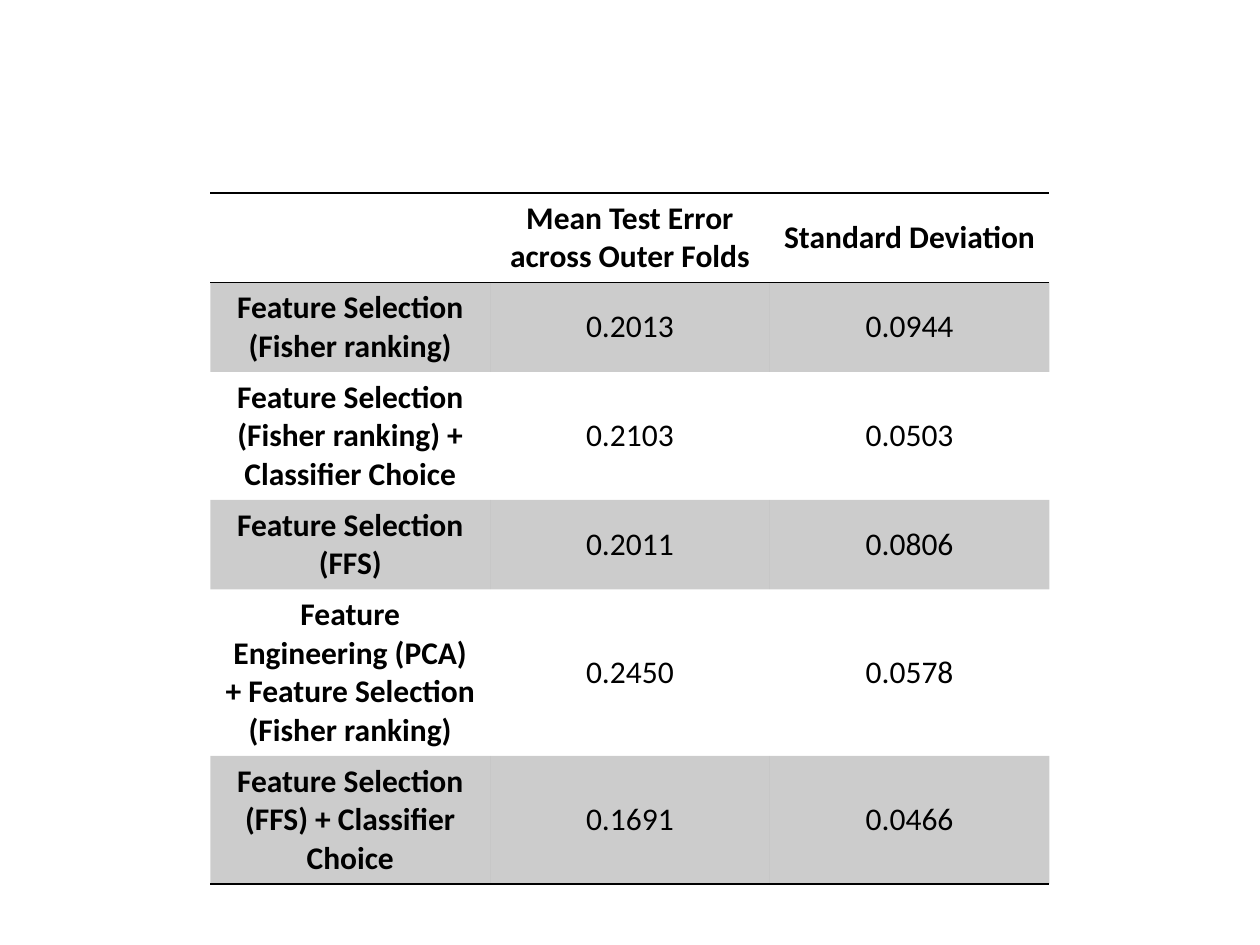
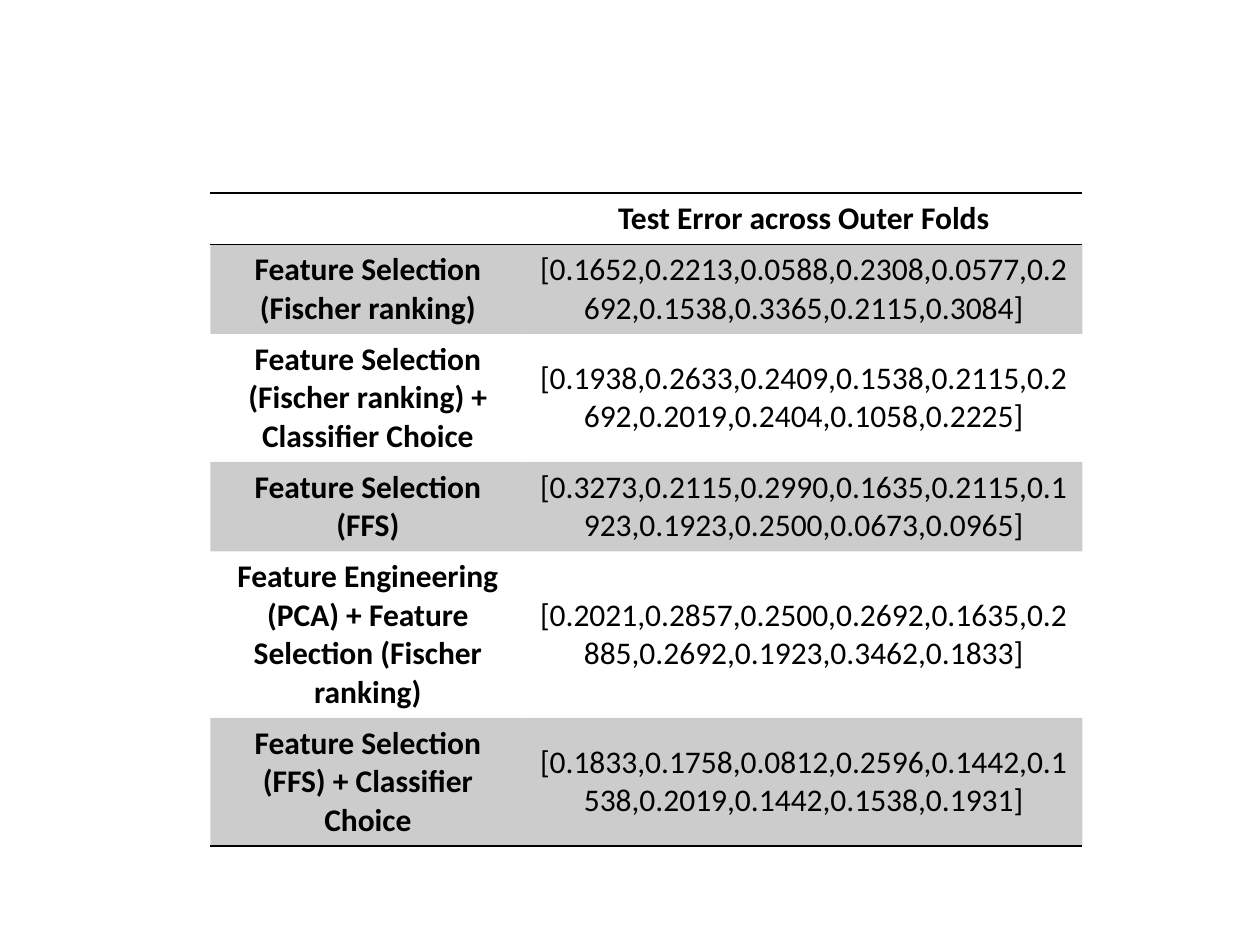
from lxml.etree import SubElement
from pptx import Presentation
from pptx.dml.color import RGBColor
from pptx.enum.text import MSO_ANCHOR, PP_ALIGN
from pptx.oxml import parse_xml
from pptx.oxml.ns import nsdecls, qn
from pptx.util import Inches, Pt

BLACK = "000000"
FONT = "Calibri"
BAND_ALPHA = 20000  # 20 % black on every other row
PLAIN_STYLE = "{2D5ABB26-0587-4C30-8999-92F81FD0307C}"  # no style, no grid


def rgb(value):
    return RGBColor.from_string(value)


def add_rule(cell, side):
    """Draw a 1 pt line on the top (T) or bottom (B) of a cell."""
    cell._tc.get_or_add_tcPr().append(parse_xml(
        f'<a:ln{side} {nsdecls("a")} w="12700"><a:solidFill>'
        f'<a:srgbClr val="{BLACK}"/></a:solidFill></a:ln{side}>'))


prs = Presentation()
prs.slide_width, prs.slide_height = Inches(10), Inches(7.5)

# Column widths and rows of each slide's table
tables = [
    ([2.22, 2.22, 2.22], [
        ["", "Mean Test Error across Outer Folds", "Standard Deviation"],
        ["Feature Selection (Fisher ranking)", "0.2013", "0.0944"],
        ["Feature Selection (Fisher ranking) + Classifier Choice", "0.2103", "0.0503"],
        ["Feature Selection (FFS)", "0.2011", "0.0806"],
        ["Feature Engineering (PCA) + Feature Selection (Fisher ranking)", "0.2450", "0.0578"],
        ["Feature Selection (FFS) + Classifier Choice", "0.1691", "0.0466"],
    ]),
    ([2.5, 4.42], [
        ["", "Test Error across Outer Folds"],
        ["Feature Selection (Fischer ranking)",
         "[0.1652,0.2213,0.0588,0.2308,0.0577,0.2692,0.1538,0.3365,0.2115,0.3084]"],
        ["Feature Selection (Fischer ranking) + Classifier Choice",
         "[0.1938,0.2633,0.2409,0.1538,0.2115,0.2692,0.2019,0.2404,0.1058,0.2225]"],
        ["Feature Selection (FFS)",
         "[0.3273,0.2115,0.2990,0.1635,0.2115,0.1923,0.1923,0.2500,0.0673,0.0965]"],
        ["Feature Engineering (PCA) + Feature Selection (Fischer ranking)",
         "[0.2021,0.2857,0.2500,0.2692,0.1635,0.2885,0.2692,0.1923,0.3462,0.1833]"],
        ["Feature Selection (FFS) + Classifier Choice",
         "[0.1833,0.1758,0.0812,0.2596,0.1442,0.1538,0.2019,0.1442,0.1538,0.1931]"],
    ]),
]

for widths, rows in tables:
    s = prs.slides.add_slide(prs.slide_layouts[6])
    row_height = Inches(0.41)  # rows grow with their text
    table = s.shapes.add_table(len(rows), len(widths), Inches(1.67), Inches(1.53),
                               Inches(sum(widths)), row_height * len(rows)).table
    table._tbl.tblPr.find(qn("a:tableStyleId")).text = PLAIN_STYLE
    for column, width in zip(table.columns, widths):
        column.width = Inches(width)

    for i, row in enumerate(rows):
        table.rows[i].height = row_height
        for j, text in enumerate(row):
            cell = table.cell(i, j)
            cell.text = text
            cell.vertical_anchor = MSO_ANCHOR.MIDDLE
            p = cell.text_frame.paragraphs[0]
            p.alignment = PP_ALIGN.CENTER
            p.font.name, p.font.size = FONT, Pt(18)
            p.font.bold = i == 0 or j == 0
            p.font.color.rgb = rgb(BLACK)

            # Rules around the header and under the last row
            if i == 0:
                add_rule(cell, "T")
            if i in (0, len(rows) - 1):
                add_rule(cell, "B")

            # Grey bands on odd rows
            if i % 2:
                cell.fill.solid()
                cell.fill.fore_color.rgb = rgb(BLACK)
                color = cell._tc.tcPr.find(qn("a:solidFill")).find(qn("a:srgbClr"))
                SubElement(color, qn("a:alpha")).set("val", str(BAND_ALPHA))
            else:
                cell.fill.background()

prs.save("out.pptx")
